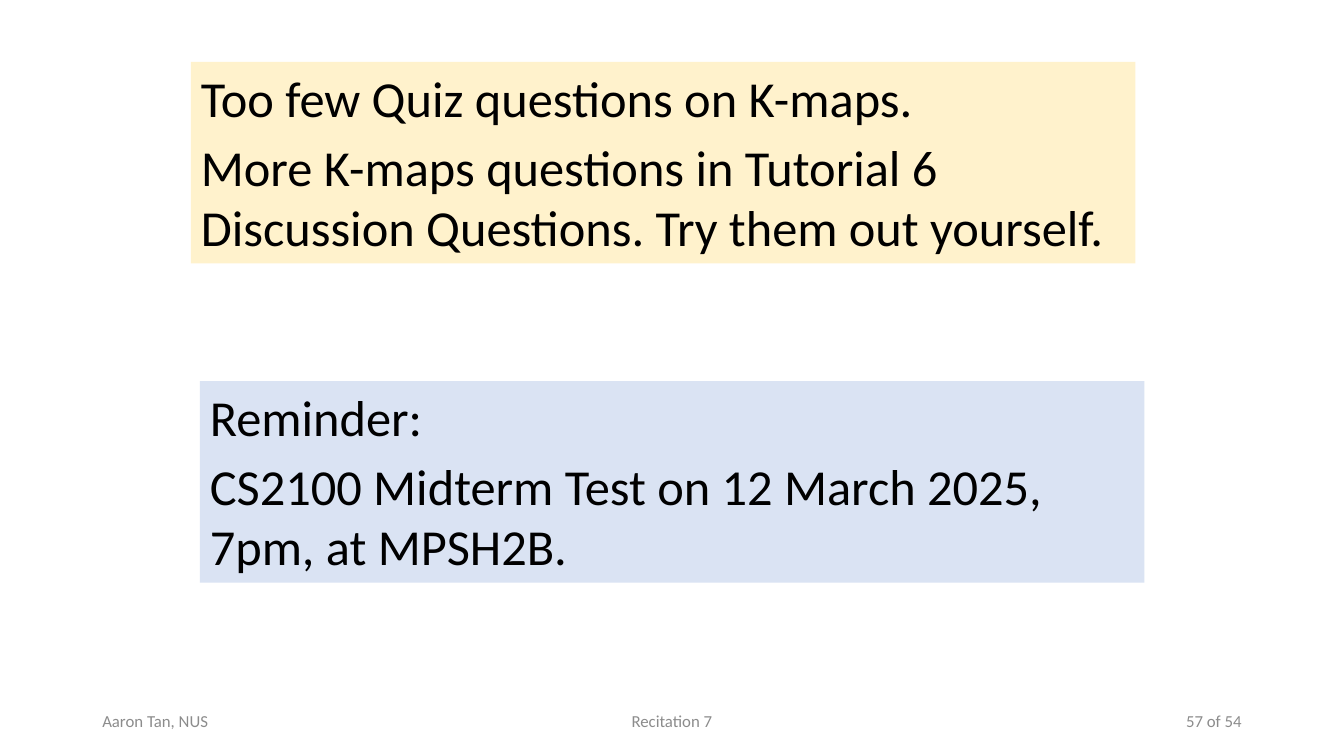
from pptx import Presentation
from pptx.dml.color import RGBColor
from pptx.enum.text import MSO_ANCHOR, PP_ALIGN
from pptx.util import Pt

LEFT, CENTER, RIGHT = PP_ALIGN.LEFT, PP_ALIGN.CENTER, PP_ALIGN.RIGHT
TOP, MIDDLE = MSO_ANCHOR.TOP, MSO_ANCHOR.MIDDLE
COLORS = {"text": "000000", "footer": "8C8C8C", "cream": "FFF2CC", "blue": "DAE3F3"}


def add_text(page, bounds, lines, size, color, align=LEFT, anchor=TOP, after=0):
    box = page.shapes.add_textbox(*[Pt(value) for value in bounds])
    frame = box.text_frame
    frame.word_wrap = True
    frame.vertical_anchor = anchor
    frame.text = "\n".join(lines)
    for paragraph in frame.paragraphs:
        paragraph.alignment = align
        paragraph.space_after = Pt(after)
        paragraph.font.name = "Calibri"
        paragraph.font.size = Pt(size)
        paragraph.font.color.rgb = RGBColor.from_string(COLORS[color])
    return box


deck = Presentation()
deck.slide_width, deck.slide_height = Pt(960), Pt(540)
page = deck.slides.add_slide(deck.slide_layouts[6])

footers = [
    (66, 216, "Aaron Tan, NUS", LEFT),
    (318, 324, "Recitation 7", CENTER),
    (678, 216, "57 of 54", RIGHT),
]
for left, width, text, align in footers:
    add_text(page, (left, 500.5, width, 28.75), [text], 12, "footer", align, MIDDLE)

notices = [
    (136.4, 44.2, "cream", [
        "Too few Quiz questions on K-maps.",
        "More K-maps questions in Tutorial 6 Discussion Questions. Try them out yourself.",
    ]),
    (142.8, 272.3, "blue", [
        "Reminder:",
        "CS2100 Midterm Test on 12 March 2025, 7pm, at MPSH2B.",
    ]),
]
for left, top, fill, lines in notices:
    box = add_text(page, (left, top, 674.6, 144), lines, 36, "text", after=6)
    box.fill.solid()
    box.fill.fore_color.rgb = RGBColor.from_string(COLORS[fill])

deck.save("out.pptx")
